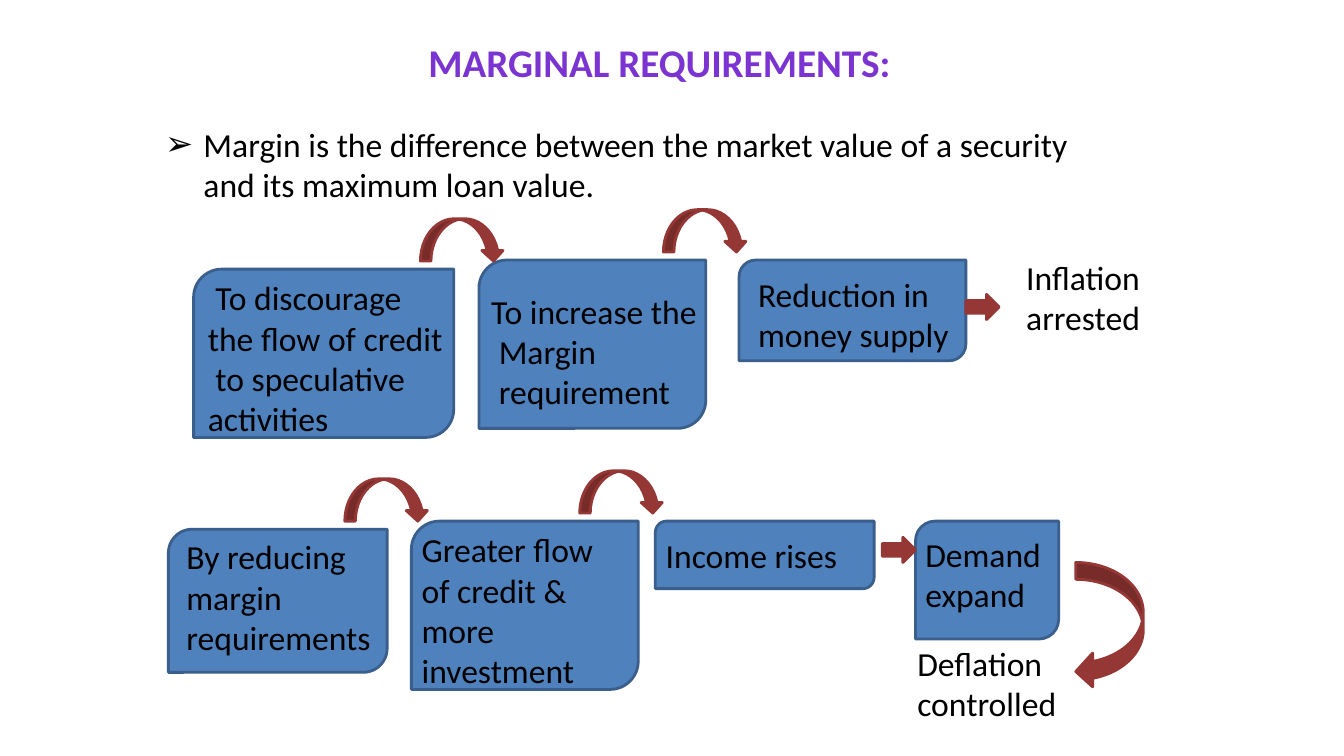
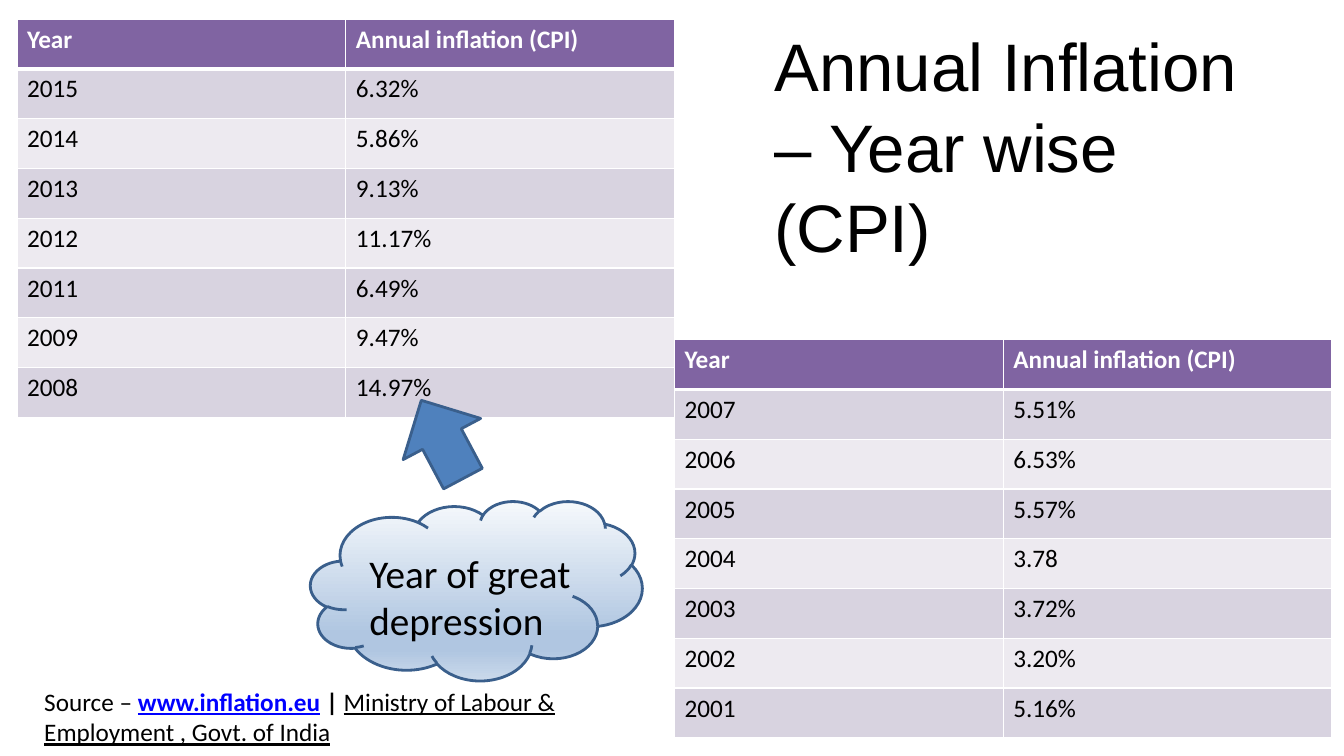
import dataclasses
import typing

import lxml.etree
import pptx
import pptx.dml.color
import pptx.enum.shapes
import pptx.enum.text
import pptx.oxml.ns
import pptx.util

Inches = pptx.util.Inches
Pt = pptx.util.Pt
qn = pptx.oxml.ns.qn
SHAPE = pptx.enum.shapes.MSO_SHAPE
ALIGN = pptx.enum.text.PP_ALIGN

BLACK, WHITE = "000000", "FFFFFF"
BLUE, BLUE_EDGE = "4F81BD", "3A5F8C"
RED = "953735"
TITLE_PURPLE = "7B34D2"
LINK_BLUE = "0000FF"
HEADER_FILL = "8064A2"
BAND_FILLS = ("D8D3E0", "EDEAF0")
CLOUD_STOPS = ((0, "F6F9FC"), (74, "B0C6E1"), (83, "B0C6E1"), (100, "CAD9EB"))


class Rect(typing.NamedTuple):
    left: float
    top: float
    width: float
    height: float


@dataclasses.dataclass(frozen=True)
class Step:
    rect: Rect
    text: str
    margin_left: float
    margin_top: float = 0


@dataclasses.dataclass(frozen=True)
class Arrow:
    kind: SHAPE
    rect: Rect


@dataclasses.dataclass(frozen=True)
class Label:
    rect: Rect
    text: str


@dataclasses.dataclass(frozen=True)
class Span:
    text: str
    color: str = BLACK
    bold: bool = False
    underline: bool = False


@dataclasses.dataclass(frozen=True)
class RateTable:
    left: float
    top: float
    rates: tuple[tuple[str, str], ...]


def hop(left: float, top: float) -> Arrow:
    return Arrow(SHAPE.CURVED_DOWN_ARROW, Rect(left, top, 0.83, 0.42))


def dash(left: float, top: float) -> Arrow:
    return Arrow(SHAPE.RIGHT_ARROW, Rect(left, top, 0.33, 0.25))


STEPS = (
    Step(Rect(1.92, 2.67, 2.58, 1.67),
         " To discourage\vthe flow of credit\v to speculative\vactivities", 0.06),
    Step(Rect(4.75, 2.58, 2.25, 1.67),
         "To increase the\v Margin\v requirement", 0.04, 0.22),
    Step(Rect(7.33, 2.58, 2.25, 1), "Reduction in\vmoney supply", 0.14, 0.09),
    Step(Rect(1.67, 5.25, 2.17, 1.42), "By reducing\vmargin\vrequirements", 0.11),
    Step(Rect(4.08, 5.17, 2.25, 1.67),
         "Greater flow\vof credit &\vmore\vinvestment", 0.02),
    Step(Rect(6.5, 5.17, 2.17, 0.67), "Income rises", 0.07, 0.1),
    Step(Rect(9.08, 5.17, 1.42, 1.17), "Demand\vexpand", 0.04, 0.07),
)
ARROWS = (
    hop(4.17, 2.17), hop(6.58, 2.08), dash(9.58, 2.92),
    hop(3.42, 4.75), hop(5.75, 4.67), dash(8.75, 5.33),
    Arrow(SHAPE.CURVED_LEFT_ARROW, Rect(10.67, 5.58, 0.67, 1.25)),
)
OUTCOMES = (
    Label(Rect(10.08, 2.5, 1.83, 0.91), "Inflation\varrested"),
    Label(Rect(9, 6.33, 1.75, 0.91), "Deflation\vcontrolled"),
)
SOURCE = (
    Span("Source – "),
    Span("www.inflation.eu", LINK_BLUE, bold=True, underline=True),
    Span(" | ", bold=True),
    Span("Ministry of Labour & Employment , Govt. of India", underline=True),
)
TABLE_WIDTH, TABLE_HEIGHT = 6.52, 3.95
TABLE_HEADER = ("Year", "Annual inflation (CPI)")
TABLES = (
    RateTable(0.17, 0.19, (
        ("2015", "6.32%"), ("2014", "5.86%"), ("2013", "9.13%"), ("2012", "11.17%"),
        ("2011", "6.49%"), ("2009", "9.47%"), ("2008", "14.97%"))),
    RateTable(0.17 + TABLE_WIDTH, 3.37, (
        ("2007", "5.51%"), ("2006", "6.53%"), ("2005", "5.57%"), ("2004", "3.78"),
        ("2003", "3.72%"), ("2002", "3.20%"), ("2001", "5.16%"))),
)


def rgb(color: str) -> pptx.dml.color.RGBColor:
    return pptx.dml.color.RGBColor.from_string(color)


def inches(rect: Rect) -> tuple:
    return tuple(Inches(n) for n in rect)


def format_run(r, size: float, color: str = BLACK, bold: bool = False,
               font: str = "Calibri") -> None:
    r.font.size, r.font.name, r.font.bold = Pt(size), font, bold
    r.font.color.rgb = rgb(color)


def set_text(tf, text: str, size: float, align: ALIGN = ALIGN.LEFT, **style) -> None:
    tf.text = text
    for p in tf.paragraphs:
        p.alignment = align
        for r in p.runs:
            format_run(r, size, **style)


def add_titled_slide(prs, rect: Rect, text: str, size: float, **style):
    s = prs.slides.add_slide(prs.slide_layouts[5])
    title = s.shapes.title
    title.left, title.top, title.width, title.height = inches(rect)
    tf = title.text_frame
    tf.word_wrap = True
    tf.auto_size = pptx.enum.text.MSO_AUTO_SIZE.NONE
    tf.vertical_anchor = pptx.enum.text.MSO_ANCHOR.TOP
    set_text(tf, text, size, **style)
    return s


def add_text(s, rect: Rect, text: str, size: float):
    tf = s.shapes.add_textbox(*inches(rect)).text_frame
    tf.word_wrap = True
    set_text(tf, text, size)
    return tf


def add_shape(s, kind: SHAPE, rect: Rect, fill: str = BLUE, line: str = BLUE_EDGE):
    sp = s.shapes.add_shape(kind, *inches(rect))
    sp.shadow.inherit = False
    sp.fill.solid()
    sp.fill.fore_color.rgb = rgb(fill)
    sp.line.color.rgb = rgb(line)
    sp.line.width = Pt(2)
    return sp


def set_shape_text(sp, text: str, size: float, left: float, top: float) -> None:
    """Place text at the top left of a shape, inset by the given margins."""
    tf = sp.text_frame
    tf.word_wrap = True
    tf.vertical_anchor = pptx.enum.text.MSO_ANCHOR.TOP
    tf.margin_left, tf.margin_top = Inches(left), Inches(top)
    tf.margin_right = tf.margin_bottom = 0
    set_text(tf, text, size)


def set_bullet(p, char: str, indent: float) -> None:
    pPr = p._p.get_or_add_pPr()
    pPr.set("marL", str(Inches(indent)))
    pPr.set("indent", str(-Inches(indent)))
    lxml.etree.SubElement(pPr, qn("a:buFont")).set("typeface", "Arial")
    lxml.etree.SubElement(pPr, qn("a:buChar")).set("char", char)


def set_vertical_gradient(sp, stops: tuple[tuple[int, str], ...]) -> None:
    sp.fill.gradient()
    sp.fill.gradient_angle = 270
    gs_list = sp._element.spPr.find(qn("a:gradFill")).find(qn("a:gsLst"))
    for gs in list(gs_list):
        gs_list.remove(gs)
    for percent, color in stops:
        gs = lxml.etree.SubElement(gs_list, qn("a:gs"))
        gs.set("pos", str(percent * 1000))
        lxml.etree.SubElement(gs, qn("a:srgbClr")).set("val", color)


def set_bottom_border(cell, color: str, width: float) -> None:
    ln = lxml.etree.Element(qn("a:lnB"))
    ln.set("w", str(Pt(width)))
    fill = lxml.etree.SubElement(ln, qn("a:solidFill"))
    lxml.etree.SubElement(fill, qn("a:srgbClr")).set("val", color)
    cell._tc.get_or_add_tcPr().insert(0, ln)


def add_rate_table(s, rate_table: RateTable) -> None:
    rows = (TABLE_HEADER, *rate_table.rates)
    rect = Rect(rate_table.left, rate_table.top, TABLE_WIDTH, TABLE_HEIGHT)
    table = s.shapes.add_table(len(rows), len(TABLE_HEADER), *inches(rect)).table
    for i, row in enumerate(rows):
        header = i == 0
        for j, value in enumerate(row):
            cell = table.cell(i, j)
            cell.fill.solid()
            cell.fill.fore_color.rgb = rgb(HEADER_FILL if header else BAND_FILLS[(i - 1) % 2])
            set_text(cell.text_frame, value, 18,
                     color=WHITE if header else BLACK, bold=header)
            if header:
                set_bottom_border(cell, WHITE, 3)


def build_margin_slide(prs) -> None:
    s = add_titled_slide(prs, Rect(2, 0.33, 9.08, 0.57), "MARGINAL REQUIREMENTS:", 28,
                         align=ALIGN.CENTER, color=TITLE_PURPLE, bold=True)
    tf = add_text(s, Rect(1.54, 1.18, 9.26, 0.91),
                  "Margin is the difference between the market value of a security "
                  "and its maximum loan value.", 24)
    set_bullet(tf.paragraphs[0], "➢", 0.38)
    for step in STEPS:
        sp = add_shape(s, SHAPE.ROUND_2_DIAG_RECTANGLE, step.rect)
        set_shape_text(sp, step.text, 24, step.margin_left, step.margin_top)
    for arrow in ARROWS:
        add_shape(s, arrow.kind, arrow.rect, RED, RED)
    for label in OUTCOMES:
        add_text(s, label.rect, label.text, 24)


def build_inflation_slide(prs) -> None:
    s = add_titled_slide(prs, Rect(7.58, 0.19, 5.18, 2.52),
                         "Annual Inflation – Year wise (CPI)", 48, font="Arial")
    for rate_table in TABLES:
        add_rate_table(s, rate_table)
    add_shape(s, SHAPE.DOWN_ARROW, Rect(3.95, 3.92, 0.87, 0.88)).rotation = 152
    cloud = add_shape(s, SHAPE.CLOUD, Rect(3.08, 4.97, 3.29, 1.78))
    set_vertical_gradient(cloud, CLOUD_STOPS)
    set_shape_text(cloud, "Year of great depression", 28, 0.13, 0.21)
    p = add_text(s, Rect(0.34, 6.76, 6.19, 0.71), "", 18).paragraphs[0]
    for span in SOURCE:
        r = p.add_run()
        r.text = span.text
        format_run(r, 18, span.color, span.bold)
        r.font.underline = span.underline


def main() -> None:
    prs = pptx.Presentation()
    prs.slide_width, prs.slide_height = Inches(13.33), Inches(7.5)
    build_margin_slide(prs)
    build_inflation_slide(prs)
    prs.save("out.pptx")


if __name__ == "__main__":
    main()
